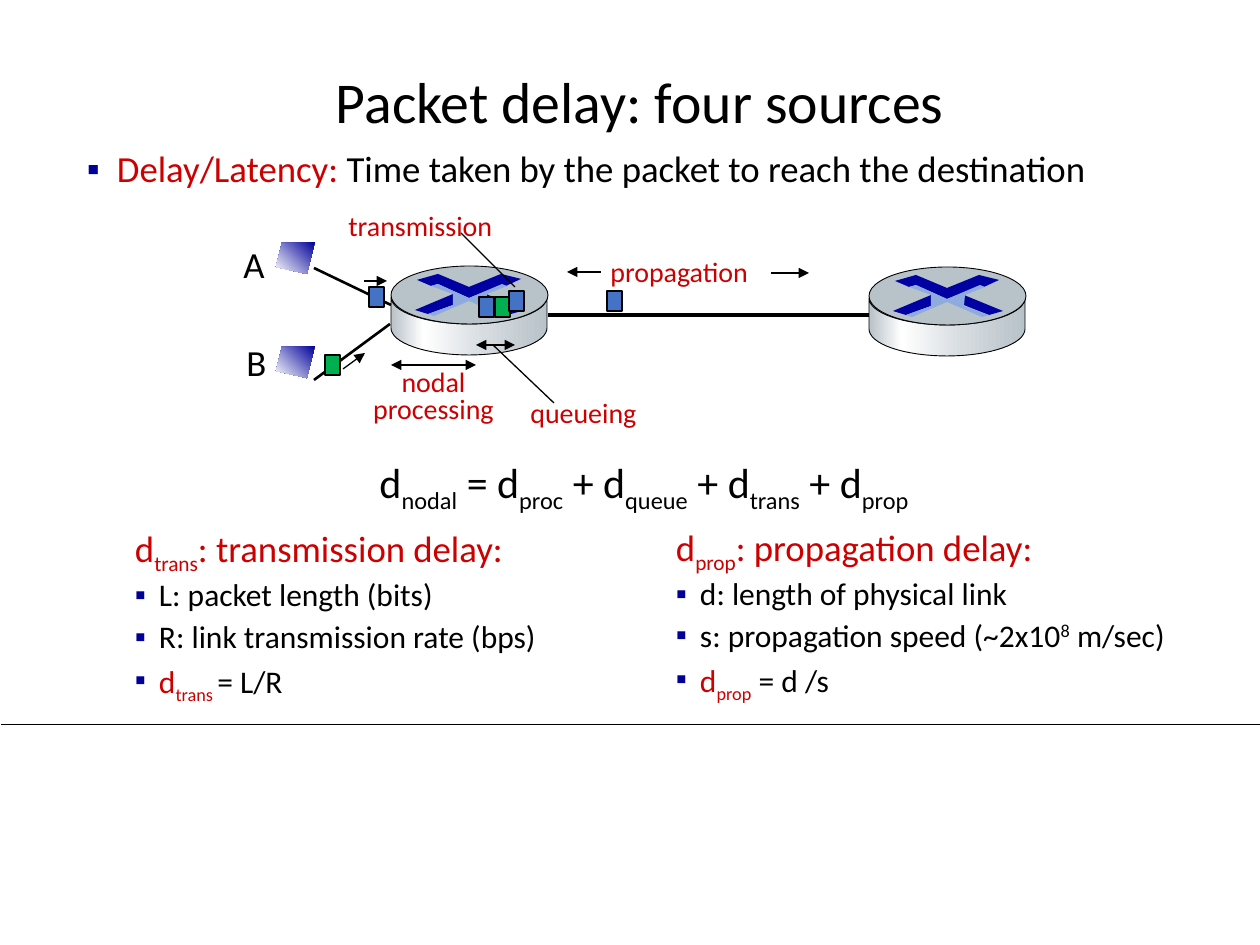
from dataclasses import dataclass
from math import cos, pi, sin

from lxml.etree import SubElement
from pptx import Presentation
from pptx.dml.color import RGBColor
from pptx.enum.shapes import MSO_CONNECTOR as Connector, MSO_SHAPE as Shape
from pptx.enum.text import MSO_ANCHOR as Anchor, MSO_AUTO_SIZE as AutoSize, PP_ALIGN as Align
from pptx.oxml.ns import qn
from pptx.util import Emu, Pt

EMU_PER_PX = 914400 / 126
SUB, SUPER = -25000, 30000


def px(length):
    return Emu(round(length * EMU_PER_PX))


@dataclass(frozen=True)
class Theme:
    font: str = "Calibri"
    ink: str = "000000"
    accent: str = "CC0000"
    bullet: str = "000099"
    packet_a: str = "4472C4"
    packet_b: str = "00B050"
    steel: str = "B8C2C9"
    arrow: str = "0000A3"
    arrow_side: str = "8FAADC"
    metal: tuple = ((0, "B8C2C9"), (21, "FFFFFF"), (60, "D6DCE0"), (100, "B8C2C9"))
    screen: tuple = ((0, "000099"), (100, "FFFFFF"))
    title: int = 33
    formula: int = 24
    heading: int = 21
    item: int = 18
    label: int = 16


class SlideBuilder:
    def __init__(self, slide, theme):
        self.slide = slide
        self.theme = theme

    def add_runs(self, paragraph, runs, size):
        """Each run is (text, colour) or (text, colour, baseline)."""
        for text, color, *baseline in runs:
            run = paragraph.add_run()
            run.text = text
            font = run.font
            font.name, font.size, font.bold = self.theme.font, Pt(size), False
            font.color.rgb = RGBColor.from_string(color)
            if baseline:
                run._r.get_or_add_rPr().set("baseline", str(baseline[0]))

    def fill_placeholder(self, idx, box, paragraphs, anchor=Anchor.TOP, inset=(13, 6)):
        """Each paragraph is (runs, size, options); an indent hangs the first line."""
        holder = self.slide.placeholders[idx]
        holder.left, holder.top, holder.width, holder.height = map(px, box)
        frame = holder.text_frame
        frame.word_wrap, frame.auto_size, frame.vertical_anchor = True, AutoSize.NONE, anchor
        frame.margin_left = frame.margin_right = px(inset[0])
        frame.margin_top = frame.margin_bottom = px(inset[1])
        for i, (runs, size, options) in enumerate(paragraphs):
            paragraph = frame.add_paragraph() if i else frame.paragraphs[0]
            props = paragraph._p.get_or_add_pPr()
            indent = px(options.get("indent", 0))
            props.set("marL", str(indent))
            props.set("indent", str(-indent))
            if options.get("bullet"):
                color = SubElement(props, qn("a:buClr"))
                SubElement(color, qn("a:srgbClr"), val=self.theme.bullet)
                SubElement(props, qn("a:buChar"), char="▪")
            else:
                SubElement(props, qn("a:buNone"))
            paragraph.alignment = options.get("align", Align.LEFT)
            paragraph.line_spacing = options.get("spacing", 0.9)
            paragraph.space_before = Pt(4.5 if i else 0)
            self.add_runs(paragraph, runs, size)

    def label(self, box, lines, color, size, align=Align.LEFT, spacing=1.0):
        frame = self.slide.shapes.add_textbox(*map(px, box)).text_frame
        frame.word_wrap, frame.auto_size = False, AutoSize.SHAPE_TO_FIT_TEXT
        for i, line in enumerate(lines):
            paragraph = frame.add_paragraph() if i else frame.paragraphs[0]
            paragraph.alignment, paragraph.line_spacing = align, spacing
            self.add_runs(paragraph, [(line, color)], size)

    def line(self, start, end, width=0.75, head=False, tail=False):
        line = self.slide.shapes.add_connector(Connector.STRAIGHT, *map(px, (*start, *end)))
        line.line.color.rgb = RGBColor.from_string(self.theme.ink)
        line.line.width = Pt(width)
        props = line._element.spPr
        for tag, shown in (("a:headEnd", head), ("a:tailEnd", tail)):
            if shown:
                SubElement(props.find(qn("a:ln")), qn(tag), type="triangle")
        SubElement(props, qn("a:effectLst"))

    def finish(self, shape, fill, outline=0, angle=0):
        """Paint with one colour, or with (percent, colour) gradient stops."""
        shape.shadow.inherit = False
        if isinstance(fill, str):
            shape.fill.solid()
            shape.fill.fore_color.rgb = RGBColor.from_string(fill)
        else:
            shape.fill.gradient()
            shape.fill.gradient_angle = angle
            stops = shape._element.spPr.find(qn("a:gradFill")).find(qn("a:gsLst"))
            for stop in list(stops):
                stops.remove(stop)
            for percent, color in fill:
                stop = SubElement(stops, qn("a:gs"), pos=str(percent * 1000))
                SubElement(stop, qn("a:srgbClr"), val=color)
        if outline:
            shape.line.color.rgb = RGBColor.from_string(self.theme.ink)
            shape.line.width = Pt(outline)
        else:
            shape.line.fill.background()

    def preset(self, kind, box, fill, outline):
        self.finish(self.slide.shapes.add_shape(kind, *map(px, box)), fill, outline)

    def outline(self, origin, points, fill, outline=0, angle=0):
        corners = [(px(origin[0] + x), px(origin[1] + y)) for x, y in points]
        builder = self.slide.shapes.build_freeform(*corners[0])
        builder.add_line_segments(corners[1:], close=True)
        self.finish(builder.convert_to_shape(), fill, outline, angle)

    def packet(self, left, top, color):
        self.preset(Shape.RECTANGLE, (left, top, 15, 20), color, 0.75)

    def terminal(self, left, top):
        self.outline((left, top), [(39, 0), (6, 1), (0, 25), (31, 32)], self.theme.screen, angle=225)

    def router(self, left, top):
        theme, origin = self.theme, (left, top)
        arc = [(78 + 78 * cos(pi * i / 32), 27 * sin(pi * i / 32)) for i in range(33)]
        side = [(x, 62 + y) for x, y in arc] + [(x, 31 + y) for x, y in reversed(arc)]
        self.outline(origin, side, theme.metal, 0.5)
        self.preset(Shape.OVAL, (left, top, 157, 58), theme.steel, 0.5)
        upper = [(110, 8), (130, 13), (115, 20), (111, 19), (78, 32),
                 (47, 18), (40, 20), (26, 14), (47, 8), (78, 21)]
        lower_right = [(95, 28), (134, 44), (120, 48), (95, 38)]
        lower_left = [(62, 28), (62, 39), (37, 48), (24, 44)]
        shade = [(40, 20), (47, 18), (78, 32), (111, 18), (116, 20), (96, 28), (95, 39),
                 (120, 48), (113, 50), (78, 35), (43, 50), (37, 48), (62, 39), (62, 28)]
        for arrow in (upper, lower_right, lower_left):
            self.outline(origin, arrow, theme.arrow)
        self.outline(origin, shade, theme.arrow_side)


def add_text(build):
    theme = build.theme
    ink, accent = theme.ink, theme.accent

    def heading(name, text):
        runs = [("d", accent), (name, accent, SUB), (text, accent)]
        return runs, theme.heading, {"indent": 35}

    def item(*runs):
        return runs, theme.item, {"indent": 24, "bullet": True}

    build.fill_placeholder(0, (97, 59, 1086, 92), [
        ([("Packet delay: four sources", ink)], theme.title, {"align": Align.CENTER})], Anchor.MIDDLE)
    build.fill_placeholder(1, (78, 146, 1134, 527), [
        ([("Delay/Latency:", accent), (" Time taken by the packet to reach the destination", ink)],
         theme.heading, {"indent": 30, "bullet": True})], inset=(9, 5))
    build.fill_placeholder(2, (122, 520, 484, 214), [
        heading("trans", ": transmission delay:"),
        item(("L: packet length (bits)", ink)),
        item(("R: link transmission rate (bps)", ink)),
        item(("d", accent), ("trans ", accent, SUB), ("= L/R", ink))])
    build.fill_placeholder(4, (663, 519, 582, 227), [
        heading("prop", ": propagation delay:"),
        item(("d: length of physical link", ink)),
        item(("s: propagation speed (~2x10", ink), ("8", ink, SUPER), (" m/sec)", ink)),
        item(("d", accent), ("prop", accent, SUB), (" = d /s", ink))])
    formula = []
    for lead, name in (("d", "nodal"), (" = d", "proc"), (" + d", "queue"),
                       (" + d", "trans"), (" + d", "prop")):
        formula += [(lead, ink), (name, ink, SUB)]
    build.fill_placeholder(3, (223, 454, 842, 57), [
        (formula, theme.formula, {"indent": 29, "align": Align.CENTER, "spacing": 0.85})])


def add_network(build):
    theme = build.theme
    build.line((1, 724), (1260, 724), 0.5)
    build.router(391, 266)
    for start, end, width in (((314, 268), (391, 305), 1.5), ((314, 380), (390, 324), 1.5),
                              ((548, 315), (898, 315), 2)):
        build.line(start, end, width)
    build.router(869, 267)
    for left, top, color in ((607, 291, theme.packet_a), (479, 297, theme.packet_a),
                             (495, 297, theme.packet_b), (509, 291, theme.packet_a),
                             (369, 287, theme.packet_a), (325, 355, theme.packet_b)):
        build.packet(left, top, color)
    for top, name, box in ((242, "A", (231, 236, 50, 57)), (346, "B", (234, 334, 49, 57))):
        build.terminal(276, top)
        build.label(box, [name], theme.ink, theme.heading)
    for name, box in (("transmission", (336, 202, 181, 47)), ("propagation", (598, 248, 181, 47)),
                      ("queueing", (518, 389, 145, 47))):
        build.label(box, [name], theme.accent, theme.label)
    build.label((352, 365, 163, 67), ["nodal", "processing"], theme.accent, theme.label,
                Align.CENTER, 0.8)
    for start, end in (((771, 273), (809, 273)), ((601, 272), (567, 272)),
                       ((364, 281), (387, 281)), ((343, 369), (365, 353))):
        build.line(start, end, tail=True)
    for start, end in (((476, 365), (391, 365)), ((515, 345), (476, 345))):
        build.line(start, end, head=True, tail=True)
    for start, end in (((554, 403), (493, 345)), ((461, 233), (515, 287))):
        build.line(start, end)


def main():
    deck = Presentation()
    deck.slide_width, deck.slide_height = px(1260), px(945)
    comparison_layout = deck.slide_layouts[4]
    build = SlideBuilder(deck.slides.add_slide(comparison_layout), Theme())
    add_text(build)
    add_network(build)
    deck.save("out.pptx")


if __name__ == "__main__":
    main()
